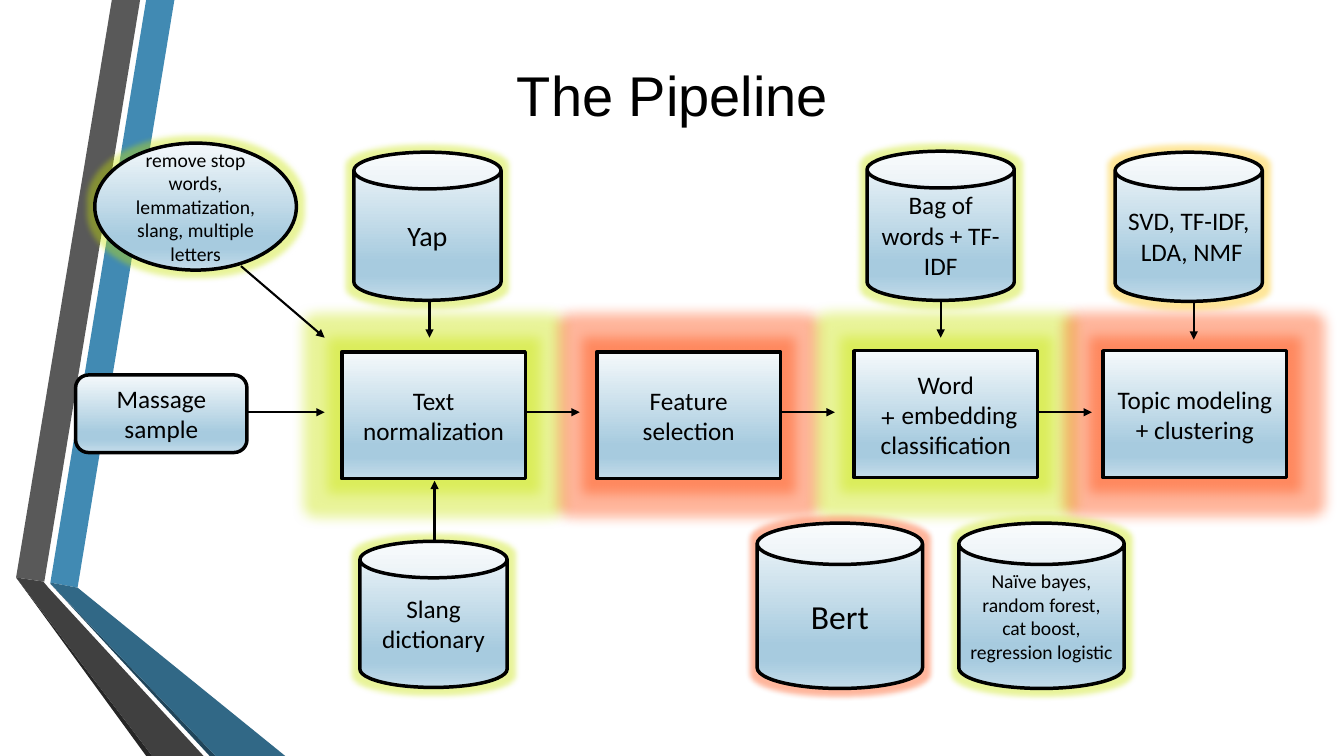
from copy import deepcopy
from dataclasses import dataclass

from lxml.etree import SubElement
from pptx import Presentation
from pptx.dml.color import RGBColor
from pptx.enum.shapes import MSO_CONNECTOR, MSO_SHAPE
from pptx.enum.text import MSO_ANCHOR, MSO_AUTO_SIZE, PP_ALIGN
from pptx.oxml.ns import qn
from pptx.util import Inches, Pt


@dataclass(frozen=True)
class Theme:
    ink: str = "000000"
    gradient: tuple = ((0, "F5F9FB"), (0.74, "A7CBDF"), (0.83, "A7CBDF"), (1, "C4DCEA"))
    green: str = "C8E400"
    red: str = "FF4807"
    amber: str = "FFC300"
    title_font: str = "Arial"
    body_font: str = "Calibri"
    title: int = 40
    large: int = 24
    medium: int = 20
    body: int = 18
    small: int = 14
    outline: float = 2.5
    arrow: float = 1.5
    wide_glow: int = 18
    thin_glow: int = 8


T = Theme()

# Content
TITLE = "The Pipeline"

RIBBONS = [  # colour, corner points
    ("418AB3", [(0.5, 5.78), (0.77, 5.83), (1.73, 0), (1.45, 0)]),
    ("595959", [(1.39, 0), (1.11, 0), (0.16, 5.73), (0.44, 5.77)]),
    ("262626", [(0.16, 5.73), (1.45, 7.5), (1.51, 7.5)]),
    ("20455A", [(0.5, 5.79), (2.08, 7.5), (2.14, 7.5)]),
    ("316886", [(0.5, 5.79), (2.14, 7.5), (2.83, 7.5), (0.77, 5.83), (0.5, 5.78)]),
    ("404040", [(2.02, 7.5), (0.48, 5.83), (0.43, 5.77), (0.16, 5.73), (1.51, 7.5)]),
]

STEP_SIZE = (1.82, 1.26)
STEPS = [  # left, top, paragraphs, glow
    (3.39, 3.49, ["Text normalization"], T.green),
    (5.92, 3.49, ["Feature selection"], T.red),
    (8.47, 3.48, ["Word embedding + ", "classification"], T.green),
    (10.94, 3.48, ["Topic modeling + clustering"], T.red),
]

RESOURCES = [  # left, top, width, height, text, type size, glow
    (3.51, 1.51, 1.46, 1.47, "Yap", T.medium, T.green),
    (3.57, 5.37, 1.46, 1.45, "Slang dictionary", T.body, T.green),
    (8.6, 1.5, 1.46, 1.48, "Bag of words + TF-IDF", T.body, T.green),
    (11.06, 1.51, 1.46, 1.48, "SVD, TF-IDF, LDA, NMF ", T.body, T.amber),
    (9.51, 5.19, 1.64, 1.64,
     "Naïve bayes, random forest, cat boost, regression logistic", T.small, T.green),
    (7.51, 5.19, 1.64, 1.64, "Bert", T.large, T.red),
]

SAMPLE = (0.75, 3.72, 1.7, 0.77)
CLEANING = (0.94, 1.42, 2, 1.26)
CLEANING_TEXT = "remove stop words, lemmatization, slang, multiple letters"

FLOW_Y = 4.09
FLOW = [(2.45, 3.22), (5.21, 5.75), (7.74, 8.28), (10.28, 10.83)]  # from x, to x
FEEDS = [(4.26, 2.98, 3.35), (9.33, 2.98, 3.35), (4.31, 5.37, 4.77),
         (11.84, 3, 3.37)]  # x, from y, to y
CLEANING_ARROW = (2.39, 2.64, 3.22, 3.35)

prs = Presentation()
prs.slide_width, prs.slide_height = Inches(13.33), Inches(7.5)
slide = prs.slides.add_slide(prs.slide_layouts[5])
shapes = slide.shapes


def write(tf, paragraphs, size, font, rtl=True):
    tf.word_wrap = True
    tf.auto_size = MSO_AUTO_SIZE.NONE
    tf.vertical_anchor = MSO_ANCHOR.MIDDLE
    for i, text in enumerate(paragraphs):
        p = tf.add_paragraph() if i else tf.paragraphs[0]
        p.alignment = PP_ALIGN.CENTER
        if rtl:
            p._p.get_or_add_pPr().set("rtl", "1")
        r = p.add_run()
        r.text = text
        r.font.size, r.font.name = Pt(size), font
        r.font.color.rgb = RGBColor.from_string(T.ink)


def add_glow(sp, color, radius):
    effects = sp._element.spPr.find(qn("a:effectLst"))
    glow = SubElement(effects, qn("a:glow"), rad=str(Pt(radius)))
    clr = SubElement(glow, qn("a:srgbClr"), val=color)
    SubElement(clr, qn("a:alpha"), val="40000")


def fill_gradient(sp):
    sp.fill.gradient()
    sp.fill.gradient_angle = 270
    stop_list = sp._element.spPr.find(qn("a:gradFill")).find(qn("a:gsLst"))
    while len(stop_list) < len(T.gradient):
        stop_list.append(deepcopy(stop_list[0]))
    for stop, (position, color) in zip(sp.fill.gradient_stops, T.gradient):
        stop.position = position
        stop.color.rgb = RGBColor.from_string(color)


def add_node(kind, box, paragraphs, size, glow=None, radius=T.thin_glow, rtl=True):
    sp = shapes.add_shape(kind, *map(Inches, box))
    sp.shadow.inherit = False
    fill_gradient(sp)
    sp.line.color.rgb = RGBColor.from_string(T.ink)
    sp.line.width = Pt(T.outline)
    if glow:
        add_glow(sp, glow, radius)
    write(sp.text_frame, paragraphs, size, T.body_font, rtl)


def add_arrow(x1, y1, x2, y2):
    line = shapes.add_connector(MSO_CONNECTOR.STRAIGHT, *map(Inches, (x1, y1, x2, y2)))
    line.line.color.rgb = RGBColor.from_string(T.ink)
    line.line.width = Pt(T.arrow)
    SubElement(line.line._get_or_add_ln(), qn("a:tailEnd"), type="triangle")
    SubElement(line._element.spPr, qn("a:effectLst"))


# Folded ribbon on the left
for color, points in RIBBONS:
    start, *rest = [(Inches(x), Inches(y)) for x, y in points]
    builder = shapes.build_freeform(*start)
    builder.add_line_segments(rest, close=True)
    sp = builder.convert_to_shape()
    sp.shadow.inherit = False
    sp.fill.solid()
    sp.fill.fore_color.rgb = RGBColor.from_string(color)
    sp.line.fill.background()

# Title, brought in front of the ribbon
title = shapes.title
title.left, title.top, title.width, title.height = map(Inches, (1.19, -0.03, 10.96, 1.92))
write(title.text_frame, [TITLE], T.title, T.title_font)
shapes._spTree.append(title._element)

# Input, steps and resources
add_node(MSO_SHAPE.ROUNDED_RECTANGLE, SAMPLE, ["Massage sample"], T.body)
for left, top, paragraphs, glow in STEPS:
    add_node(MSO_SHAPE.RECTANGLE, (left, top, *STEP_SIZE), paragraphs, T.body,
             glow, T.wide_glow)
for *box, text, size, glow in RESOURCES:
    add_node(MSO_SHAPE.CAN, box, [text], size, glow)
add_node(MSO_SHAPE.OVAL, CLEANING, [CLEANING_TEXT], T.small, T.green, rtl=False)

# Arrows
for x1, x2 in FLOW:
    add_arrow(x1, FLOW_Y, x2, FLOW_Y)
for x, y1, y2 in FEEDS:
    add_arrow(x, y1, x, y2)
add_arrow(*CLEANING_ARROW)

prs.save("out.pptx")
